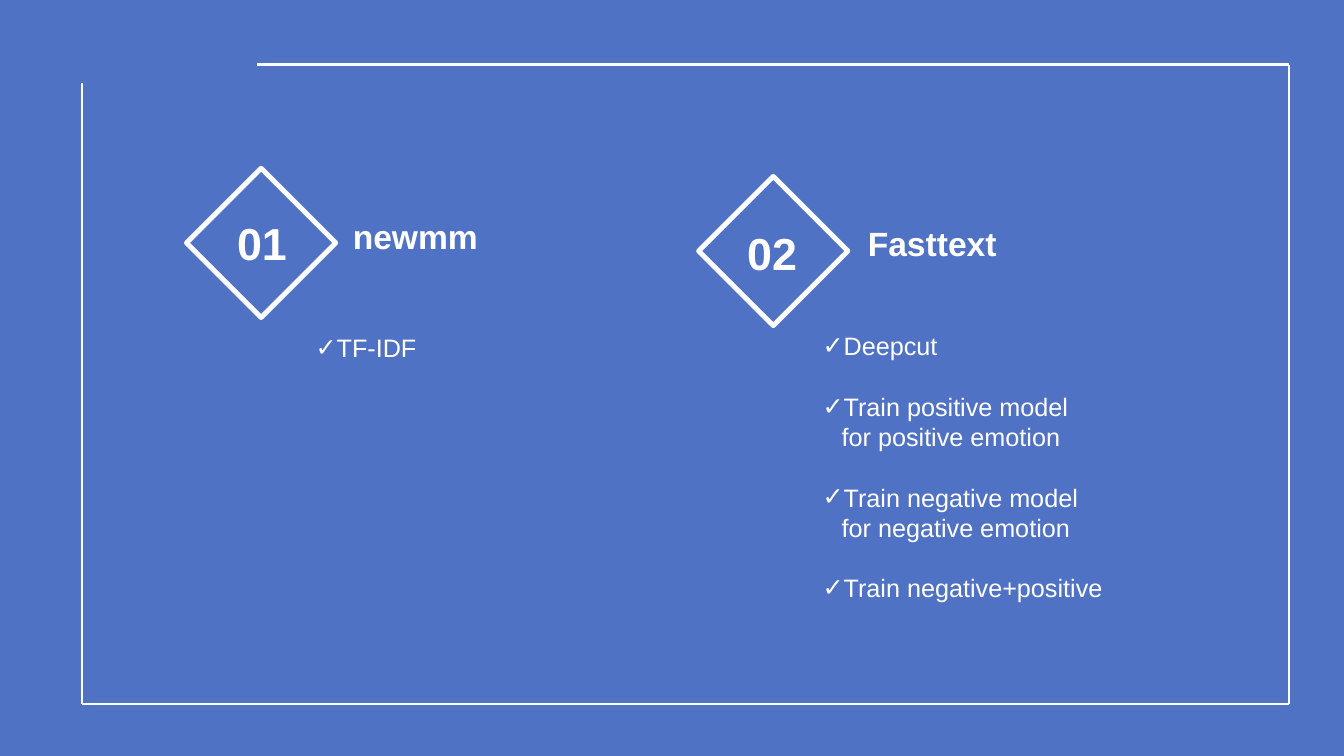
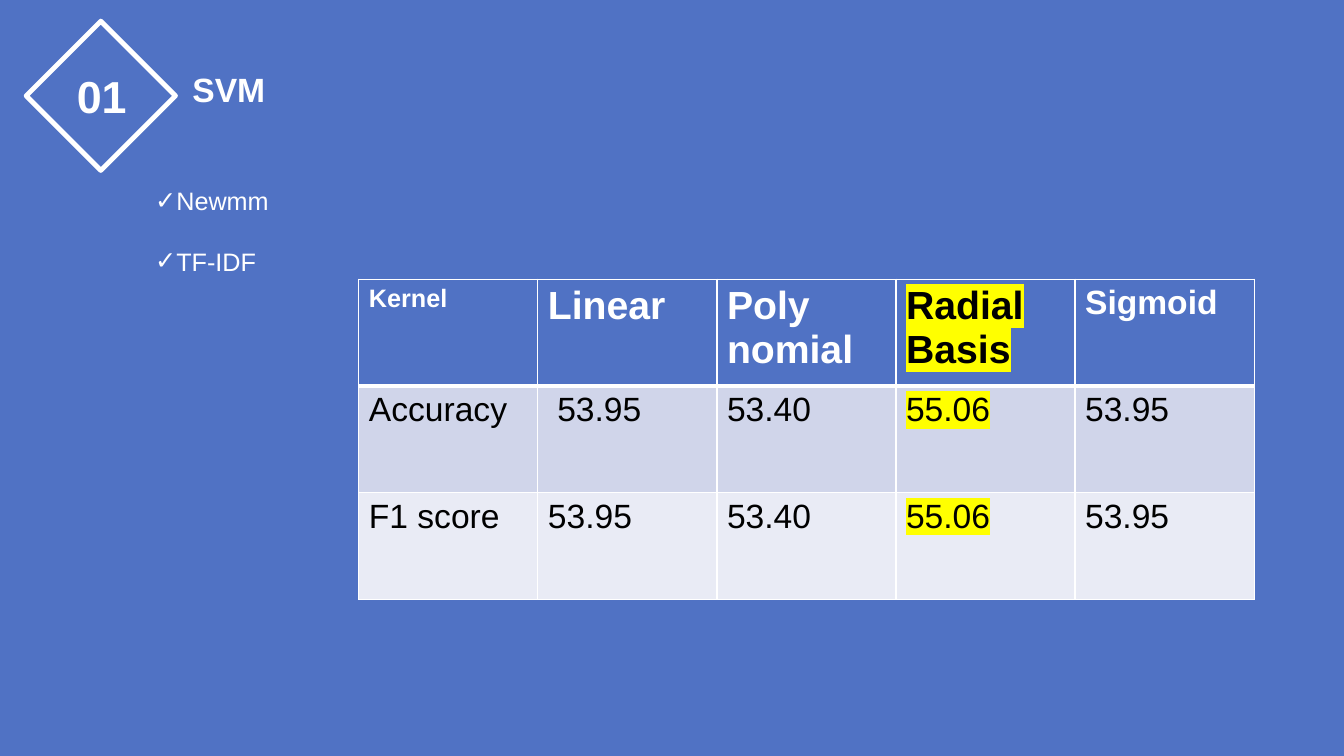
"""Build two slides on word segmentation and kernel scores."""

from dataclasses import dataclass

from pptx import Presentation
from pptx.dml.fill import FillFormat
from pptx.enum.shapes import MSO_CONNECTOR, MSO_SHAPE
from pptx.enum.text import MSO_ANCHOR, MSO_AUTO_SIZE, PP_ALIGN
from pptx.dml.color import RGBColor
from pptx.oxml import parse_xml
from pptx.oxml.ns import nsdecls, qn
from pptx.shapes.base import BaseShape
from pptx.slide import Slide
from pptx.table import _Cell
from pptx.text.text import TextFrame
from pptx.util import Pt

DIAMOND = MSO_SHAPE.DIAMOND
LINE = MSO_CONNECTOR.STRAIGHT
LEFT, CENTER = PP_ALIGN.LEFT, PP_ALIGN.CENTER
TOP = MSO_ANCHOR.TOP
FIXED = MSO_AUTO_SIZE.NONE

FONT = "Arial"
BLUE, WHITE, BLACK, YELLOW = "5072C4", "FFFFFF", "000000", "FFFF00"
BANDS = ("D0D5EA", "E9EBF5")

WIDE, HIGH = 960, 540
SIDE = 106.6
INDENT = 13.7
LEAD = 21.6

Box = tuple[float, float, float, float]


@dataclass(frozen=True)
class Topic:
    """A numbered diamond with a heading and a list, offset from its corner."""

    x: float
    y: float
    num: str
    head: str
    items: tuple[str, ...]
    tag_box: Box = (15.8, 30.2, 76.3, 46)
    head_box: Box = (110.2, 30.2, 321, 36)
    list_box: Box = (92.2, 113.8, 351, 87)


@dataclass(frozen=True)
class Entry:
    """A table cell's text and format."""

    text: str
    size: float = 24
    mark: bool = False


NEWMM = Topic(133.2, 120.2, "01", "newmm", ("TF-IDF",))
FAST = Topic(
    499, 126, "02", "Fasttext",
    (
        "Deepcut",
        "Train positive model\vfor positive emotion",
        "Train negative model\vfor negative emotion",
        "Train negative+positive",
    ),
    tag_box=(16.5, 31.7, 72, 46),
    head_box=(112.3, 29.5, 305, 36),
    list_box=(88.5, 106.6, 333, 225),
)
SVM = Topic(18.7, 15.1, "01", "SVM", ("Newmm", "TF-IDF"))

FRAME = (
    (58.7, 59, 58.7, 502.6),
    (920.9, 46.1, 183.6, 46.1),
    (920.9, 502.6, 58.7, 502.6),
    (920.9, 46.1, 920.9, 502.6),
)

SCORES = (
    (
        Entry("Kernel", 18),
        Entry("Linear", 28),
        Entry("Poly\nnomial", 28),
        Entry("Radial Basis", 28, True),
        Entry("Sigmoid"),
    ),
    (
        Entry("Accuracy"),
        Entry(" 53.95"),
        Entry("53.40"),
        Entry("55.06", mark=True),
        Entry("53.95"),
    ),
    (
        Entry("F1 score"),
        Entry("53.95"),
        Entry("53.40"),
        Entry("55.06", mark=True),
        Entry("53.95"),
    ),
)


def paint(fill: FillFormat, color: str) -> None:
    """Fill an area, a line or a font with one colour."""
    fill.solid()
    fill.fore_color.rgb = RGBColor.from_string(color)


def write(
    frame: TextFrame,
    text: str,
    *,
    size: float = 18,
    color: str = WHITE,
    bold: bool = False,
    align: PP_ALIGN = LEFT,
    mark: bool = False,
    ticks: bool = False,
) -> None:
    """Put formatted text in a frame, one paragraph a line."""
    frame.text = text
    for place, para in enumerate(frame.paragraphs):
        para.alignment = align
        para.space_before = Pt(LEAD if ticks and place else 0)
        if ticks:
            para.line_spacing = Pt(LEAD)
            props = para._p.get_or_add_pPr()
            props.set("marL", str(Pt(INDENT)))
            props.set("indent", str(-Pt(INDENT)))
            props.append(parse_xml(f'<a:buFont {nsdecls("a")} typeface="{FONT}"/>'))
            props.append(parse_xml(f'<a:buChar {nsdecls("a")} char="✓"/>'))
        for run in para.runs:
            font = run.font
            font.name, font.size, font.bold = FONT, Pt(size), bold
            paint(font.fill, color)
            if mark:
                glow = parse_xml(
                    f'<a:highlight {nsdecls("a")}><a:srgbClr val="{YELLOW}"/></a:highlight>'
                )
                run._r.rPr.find(qn("a:latin")).addprevious(glow)


def place(shape: BaseShape, box: Box, topic: Topic, inset: tuple[float, float]) -> TextFrame:
    """Move a text shape to its spot in a topic and return its frame."""
    left, top, width, height = box
    shape.left, shape.top = Pt(topic.x + left), Pt(topic.y + top)
    shape.width, shape.height = Pt(width), Pt(height)
    frame = shape.text_frame
    frame.word_wrap, frame.auto_size = True, FIXED
    frame.vertical_anchor = TOP
    frame.margin_left, frame.margin_right = Pt(inset[0]), Pt(inset[1])
    frame.margin_top = frame.margin_bottom = Pt(3.6)
    return frame


def add_text(slide: Slide) -> BaseShape:
    """Add an empty text box, to be placed later."""
    return slide.shapes.add_textbox(0, 0, Pt(SIDE), Pt(SIDE))


def add_topic(slide: Slide, topic: Topic, head: BaseShape, body: BaseShape) -> None:
    """Draw a topic with the given heading and list shapes."""
    gem = slide.shapes.add_shape(DIAMOND, Pt(topic.x), Pt(topic.y), Pt(SIDE), Pt(SIDE))
    gem.shadow.inherit = False
    gem.fill.background()
    paint(gem.line.fill, WHITE)
    gem.line.width = Pt(3.5)
    tag = place(add_text(slide), topic.tag_box, topic, (8.6, 8.6))
    write(tag, topic.num, size=32, bold=True, align=CENTER)
    write(place(head, topic.head_box, topic, (8.6, 8.6)), topic.head, size=24, bold=True)
    write(place(body, topic.list_box, topic, (0, 7.2)), "\n".join(topic.items), ticks=True)


def add_frame(slide: Slide) -> None:
    """Draw the open frame round the slide."""
    for ends in FRAME:
        edge = slide.shapes.add_connector(LINE, *map(Pt, ends))
        paint(edge.line.fill, WHITE)
        edge.line.width = Pt(1.5)
        edge._element.spPr.append(parse_xml(f'<a:effectLst {nsdecls("a")}/>'))


def add_edges(cell: _Cell, row: int) -> None:
    """Give a cell white borders, thick below the header."""
    props = cell._tc.get_or_add_tcPr()
    thick = {(0, "B"), (1, "T")}
    for side in "LRTB":
        width = Pt(3 if (row, side) in thick else 1)
        props.append(parse_xml(
            f'<a:ln{side} {nsdecls("a")} w="{width}"><a:solidFill>'
            f'<a:srgbClr val="{WHITE}"/></a:solidFill></a:ln{side}>'
        ))


def add_scores(slide: Slide) -> None:
    """Draw the table of kernel scores."""
    rows, cols = len(SCORES), len(SCORES[0])
    table = slide.shapes.add_table(
        rows, cols, Pt(256.3), Pt(199.4), Pt(639.5), Pt(229)
    ).table
    table.horz_banding = False
    for row, line in enumerate(SCORES):
        for col, entry in enumerate(line):
            cell = table.cell(row, col)
            add_edges(cell, row)
            paint(cell.fill, BANDS[row - 1] if row else BLUE)
            write(
                cell.text_frame, entry.text, size=entry.size, bold=row == 0,
                color=BLACK if row or entry.mark else WHITE, mark=entry.mark,
            )


def main() -> None:
    """Build and save the slides."""
    prs = Presentation()
    prs.slide_width, prs.slide_height = Pt(WIDE), Pt(HIGH)
    paint(prs.slide_master.background.fill, BLUE)

    pair = prs.slides.add_slide(prs.slide_layouts.get_by_name("Two Content"))
    holds = pair.placeholders
    add_topic(pair, NEWMM, pair.shapes.title, holds[1])
    add_topic(pair, FAST, add_text(pair), holds[2])
    add_frame(pair)

    result = prs.slides.add_slide(prs.slide_layouts.get_by_name("Title and Content"))
    add_topic(result, SVM, result.shapes.title, result.placeholders[1])
    add_scores(result)

    prs.save("out.pptx")


if __name__ == "__main__":
    main()
